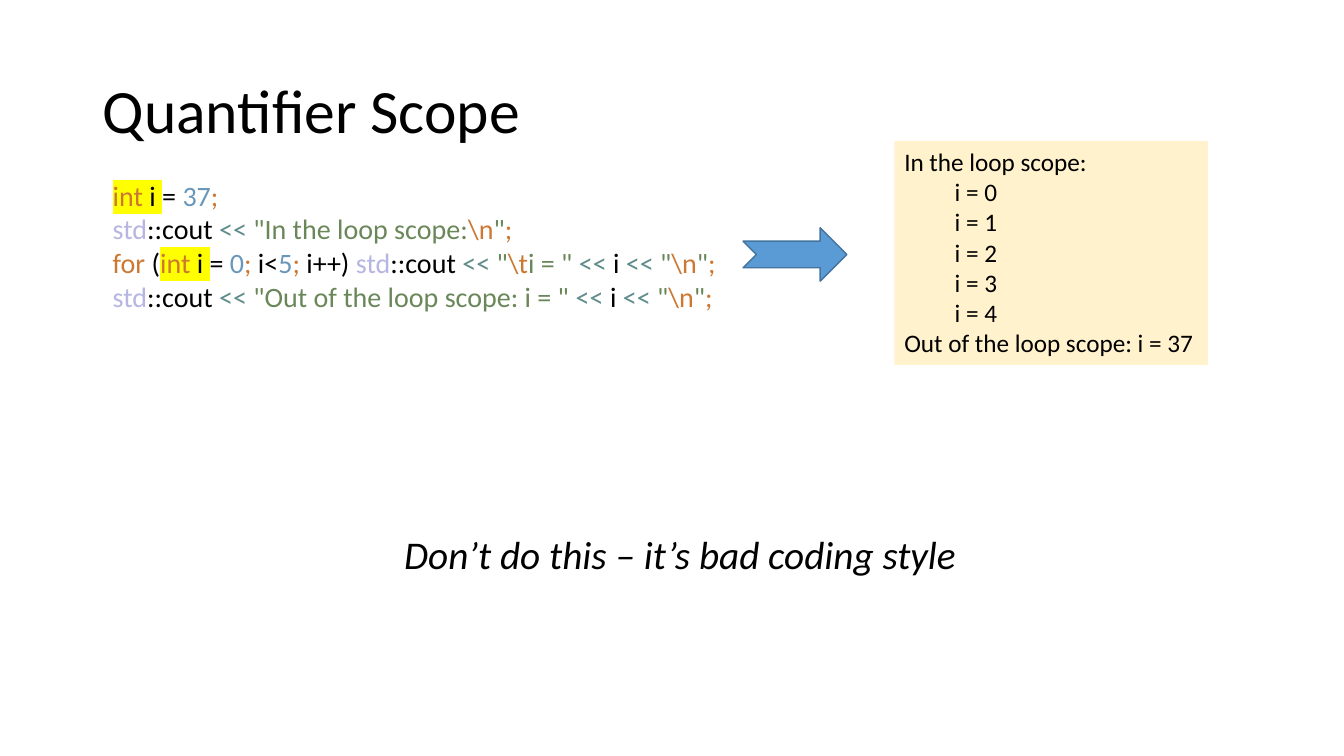
from typing import NamedTuple

from lxml import etree
from pptx import Presentation
from pptx import util as u
from pptx.dml.color import RGBColor
from pptx.enum import shapes, text
from pptx.oxml.ns import qn

BLACK = RGBColor(0x00, 0x00, 0x00)
KEYWORD = RGBColor(0xCC, 0x78, 0x32)
NUMBER = RGBColor(0x68, 0x97, 0xBB)
NAMESPACE = RGBColor(0xB5, 0xB6, 0xE3)
OPERATOR = RGBColor(0x5F, 0x8C, 0x8A)
STRING = RGBColor(0x6A, 0x87, 0x59)
MARKER = RGBColor(0xFF, 0xFF, 0x00)
CREAM = RGBColor(0xFF, 0xF2, 0xCC)
ARROW_FILL = RGBColor(0x5B, 0x9B, 0xD5)
ARROW_LINE = RGBColor(0x43, 0x73, 0x9E)


class Token(NamedTuple):
    words: str
    color: RGBColor = BLACK
    marked: bool = False


class TextBlock(NamedTuple):
    left: float
    top: float
    width: float
    height: float
    size: int
    paragraphs: list[list[list[Token]]]  # paragraphs of lines of tokens
    italic: bool = False
    wrap: bool = False
    anchor: text.MSO_ANCHOR = text.MSO_ANCHOR.TOP
    line_spacing: float = 1.0
    fill: RGBColor | None = None


def plain(*lines: str) -> list[list[list[Token]]]:
    """Make one black paragraph from each line."""
    return [[[Token(line)]] for line in lines]


DECLARE_I = [Token("int ", KEYWORD, True), Token("i ", marked=True), Token("= ")]
SHIFT = Token("<< ", OPERATOR)
COUT = [Token("std", NAMESPACE), Token("::cout "), SHIFT]
QUOTE = Token('"', STRING)
NEWLINE = Token("\\n", KEYWORD)
END = Token(";", KEYWORD)
NEXT = Token("; ", KEYWORD)
PRINT_I = [SHIFT, Token("i "), SHIFT, QUOTE, NEWLINE, QUOTE, END]

CODE = [
    [*DECLARE_I, Token("37", NUMBER), END],
    [*COUT, Token('"In the loop scope:', STRING), NEWLINE, QUOTE, END],
    [Token("for ", KEYWORD), Token("("), *DECLARE_I, Token("0", NUMBER), NEXT,
     Token("i<"), Token("5", NUMBER), NEXT, Token("i++) "), *COUT,
     QUOTE, Token("\\t", KEYWORD), Token('i = " ', STRING), *PRINT_I],
    [*COUT, Token('"Out of the loop scope: i = " ', STRING), *PRINT_I],
]
OUTPUT = plain("In the loop scope:", *(f"\ti = {i}" for i in range(5)),
               "Out of the loop scope: i = 37")

BLOCKS = [
    TextBlock(0.92, 0.4, 11.5, 1.45, 44, plain("Quantifier Scope"), wrap=True,
              anchor=text.MSO_ANCHOR.MIDDLE, line_spacing=0.9),
    TextBlock(1.02, 1.72, 6.24, 1.45, 20, [CODE]),
    TextBlock(8.87, 1.4, 3.11, 2.22, 18, OUTPUT, fill=CREAM),
    TextBlock(3.91, 5.21, 5.73, 0.57, 28,
              plain("Don’t do this – it’s bad coding style"), italic=True),
]


def add_token(para, token: Token) -> None:
    span = para.add_run()
    span.text = token.words
    span.font.color.rgb = token.color
    if token.marked:
        highlight = etree.SubElement(span.font._element, qn("a:highlight"))
        etree.SubElement(highlight, qn("a:srgbClr"), val=str(MARKER))


def add_text_block(page, block: TextBlock) -> None:
    box = page.shapes.add_textbox(u.Inches(block.left), u.Inches(block.top),
                                  u.Inches(block.width), u.Inches(block.height))
    if block.fill is not None:
        box.fill.solid()
        box.fill.fore_color.rgb = block.fill
    frame = box.text_frame
    frame.word_wrap = block.wrap
    frame.vertical_anchor = block.anchor
    for index, lines in enumerate(block.paragraphs):
        para = frame.add_paragraph() if index else frame.paragraphs[0]
        para.line_spacing = block.line_spacing
        para.font.name = "Calibri"
        para.font.size = u.Pt(block.size)
        para.font.italic = block.italic
        for number, line in enumerate(lines):
            if number:
                para.add_line_break()
            for token in line:
                add_token(para, token)


def add_result_arrow(page) -> None:
    arrow = page.shapes.add_shape(shapes.MSO_SHAPE.NOTCHED_RIGHT_ARROW,
                                  u.Inches(7.37), u.Inches(2.26),
                                  u.Inches(1.03), u.Inches(0.53))
    arrow.shadow.inherit = False
    arrow.fill.solid()
    arrow.fill.fore_color.rgb = ARROW_FILL
    arrow.line.color.rgb = ARROW_LINE
    arrow.line.width = u.Pt(1)


def main() -> None:
    deck = Presentation()
    deck.slide_width = u.Inches(13.33)
    deck.slide_height = u.Inches(7.5)
    page = deck.slides.add_slide(deck.slide_layouts[6])
    for block in BLOCKS:
        add_text_block(page, block)
    add_result_arrow(page)
    deck.save("out.pptx")


if __name__ == "__main__":
    main()
